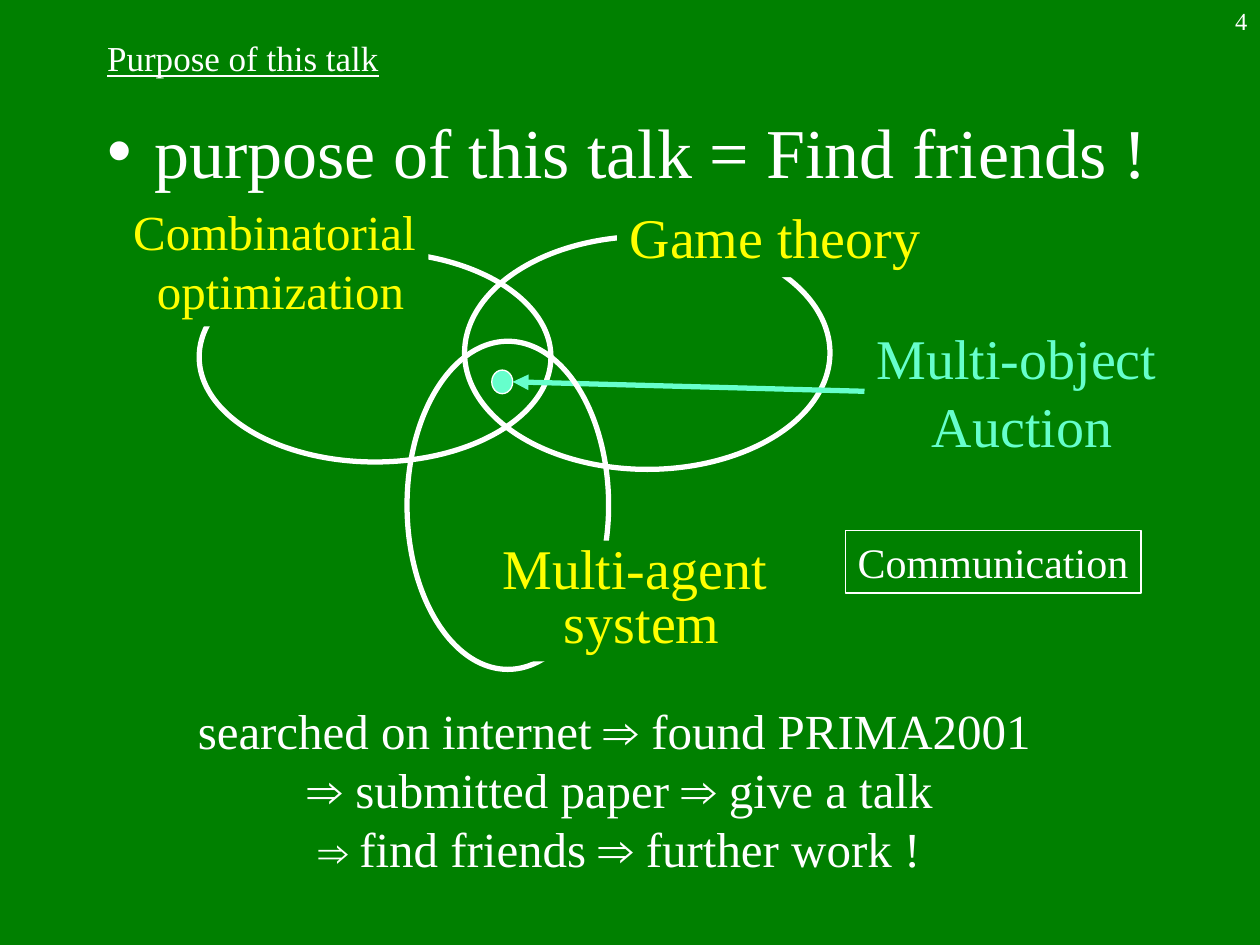
from lxml import etree
from pptx import Presentation
from pptx import util as u
from pptx.dml import color as c
from pptx.enum import shapes, text
from pptx.oxml import ns

Pt = u.Pt
COLORS = {
    name: c.RGBColor.from_string(value)
    for name, value in {
        "green": "008000", "white": "FFFFFF", "yellow": "FFFF00", "aqua": "66FFCC",
    }.items()
}
CENTER = text.PP_ALIGN.CENTER


def write(shape, lines, size, color, align=CENTER, spacing=None):
    frame = shape.text_frame
    frame.text = "\n".join(lines)
    frame.word_wrap = False
    frame.auto_size = text.MSO_AUTO_SIZE.NONE
    frame.vertical_anchor = text.MSO_ANCHOR.TOP
    for paragraph in frame.paragraphs:
        paragraph.alignment = align
        paragraph.space_before = Pt(0)
        if spacing:
            paragraph.line_spacing = spacing
        paragraph.font.name = "Times New Roman"
        paragraph.font.size = Pt(size)
        paragraph.font.color.rgb = COLORS[color]
    return frame


def draw(kind, box, fill=None, line=None, width=0.75):
    shape = slide.shapes.add_shape(kind, *map(Pt, box))
    shape.shadow.inherit = False
    for part, color in ((shape.fill, fill), (shape.line.fill, line)):
        if color:
            part.solid()
            part.fore_color.rgb = COLORS[color]
        else:
            part.background()
    if line:
        shape.line.width = Pt(width)
    return shape


presentation = Presentation()
presentation.slide_width = Pt(720)
presentation.slide_height = Pt(540)
slide = presentation.slides.add_slide(presentation.slide_layouts[1])
slide.background.fill.solid()
slide.background.fill.fore_color.rgb = COLORS["green"]

title, body = slide.placeholders
for placeholder, box in ((title, (54, 24, 462, 18)), (body, (54, 54, 642, 444))):
    placeholder.left, placeholder.top, placeholder.width, placeholder.height = map(Pt, box)

frame = write(title, ["Purpose of this talk"], 20, "white", text.PP_ALIGN.LEFT)
frame.word_wrap = True
frame.vertical_anchor = text.MSO_ANCHOR.MIDDLE
frame.paragraphs[0].font.underline = True

properties = body.text_frame.paragraphs[0]._p.get_or_add_pPr()
properties.set("marL", str(Pt(27)))
properties.set("indent", str(-Pt(27)))
etree.SubElement(properties, ns.qn("a:buNone"))
frame = write(body, ["purpose of this talk = Find friends !"], 40, "white", text.PP_ALIGN.LEFT)
frame.word_wrap = True
frame.margin_top = Pt(8)

fields = [
    ((113.8, 144, 201, 120), (69, 111.5, 175.8, 75),
     ["Combinatorial", " optimization"], 28, None),
    ((265.5, 135, 208.8, 133.2), (352.6, 112.3, 180.7, 46),
     ["Game theory"], 32, None),
    ((232.6, 195, 115.2, 187.5), (280, 309, 173.5, 69),
     ["Multi-agent ", "system"], 32, 0.8),
]


for index, (oval, label, lines, size, spacing) in enumerate(fields):
    if index == 2:
        draw(shapes.MSO_SHAPE.OVAL, (281, 211.5, 12, 13.5), "aqua", "white")

        auction = slide.shapes.add_textbox(*map(Pt, (494, 181.5, 174, 84)))
        write(auction, ["Multi-object", " Auction"], 32, "aqua")

        arrow = slide.shapes.add_connector(
            shapes.MSO_CONNECTOR.STRAIGHT, *map(Pt, (293, 218.2, 494, 223.6)))
        arrow.line.color.rgb = COLORS["aqua"]
        arrow.line.width = Pt(3)
        etree.SubElement(arrow.line._get_or_add_ln(), ns.qn("a:headEnd"), type="triangle")
        etree.SubElement(arrow._element.spPr, ns.qn("a:effectLst"))

    draw(shapes.MSO_SHAPE.OVAL, oval, line="white", width=3)
    write(draw(shapes.MSO_SHAPE.RECTANGLE, label, "green"), lines, size, "yellow", spacing=spacing)

story = slide.shapes.add_textbox(*map(Pt, (104.4, 396.7, 493.2, 108)))
frame = write(story, [
    "searched on internet ⇒ found PRIMA2001",
    " ⇒ submitted paper ⇒ give a talk",
    " ⇒ ",
], 28, "white")
last = frame.paragraphs[2]
last.runs[0].font.size = Pt(24)
last.add_run().text = "find friends ⇒ further work !"

communication = draw(shapes.MSO_SHAPE.RECTANGLE, (483, 303, 169, 36), line="white")
write(communication, ["Communication"], 24, "white")

number = slide.shapes.add_textbox(*map(Pt, (570, 0, 150, 36)))
write(number, ["4"], 14, "white", text.PP_ALIGN.RIGHT).word_wrap = True

presentation.save("out.pptx")
